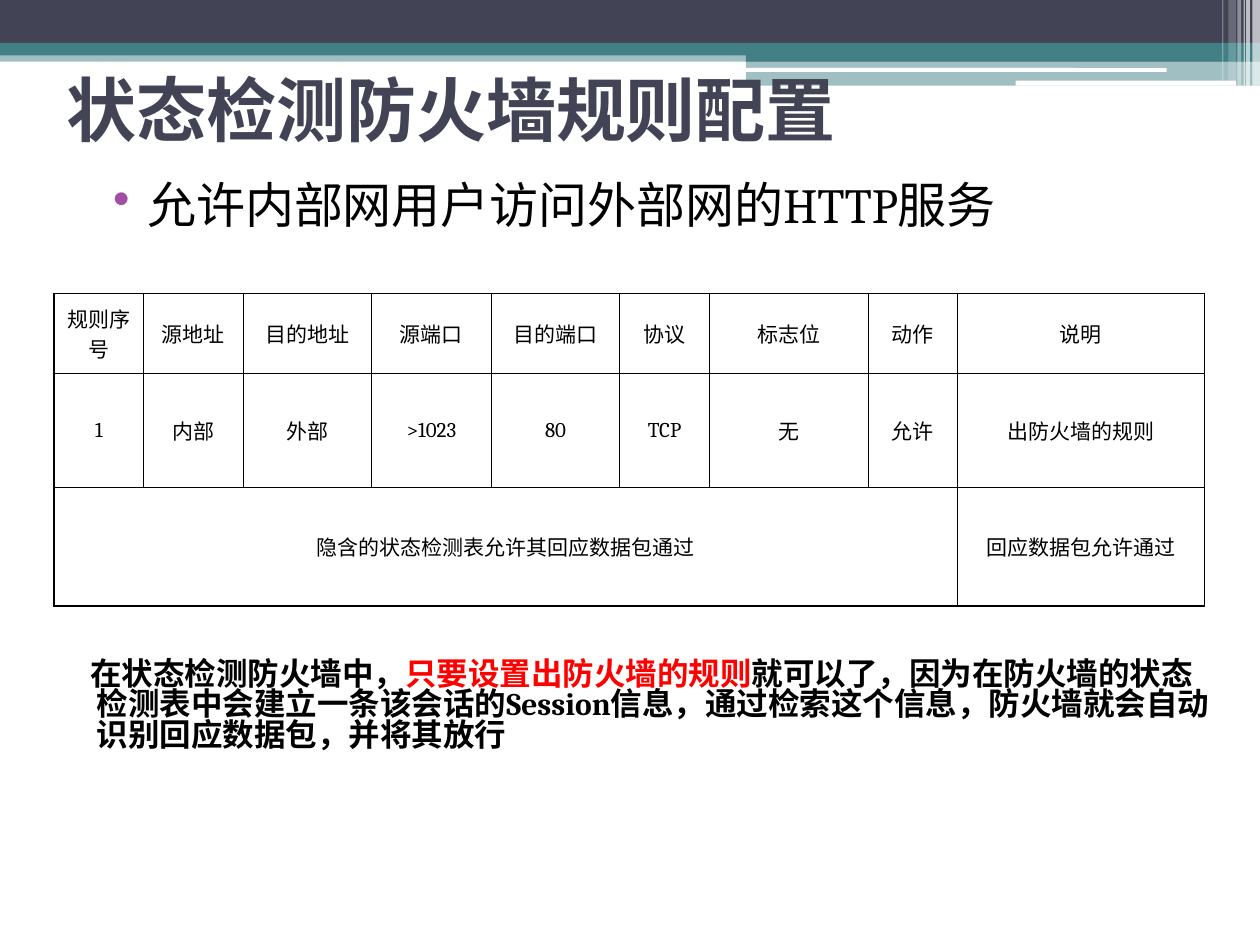
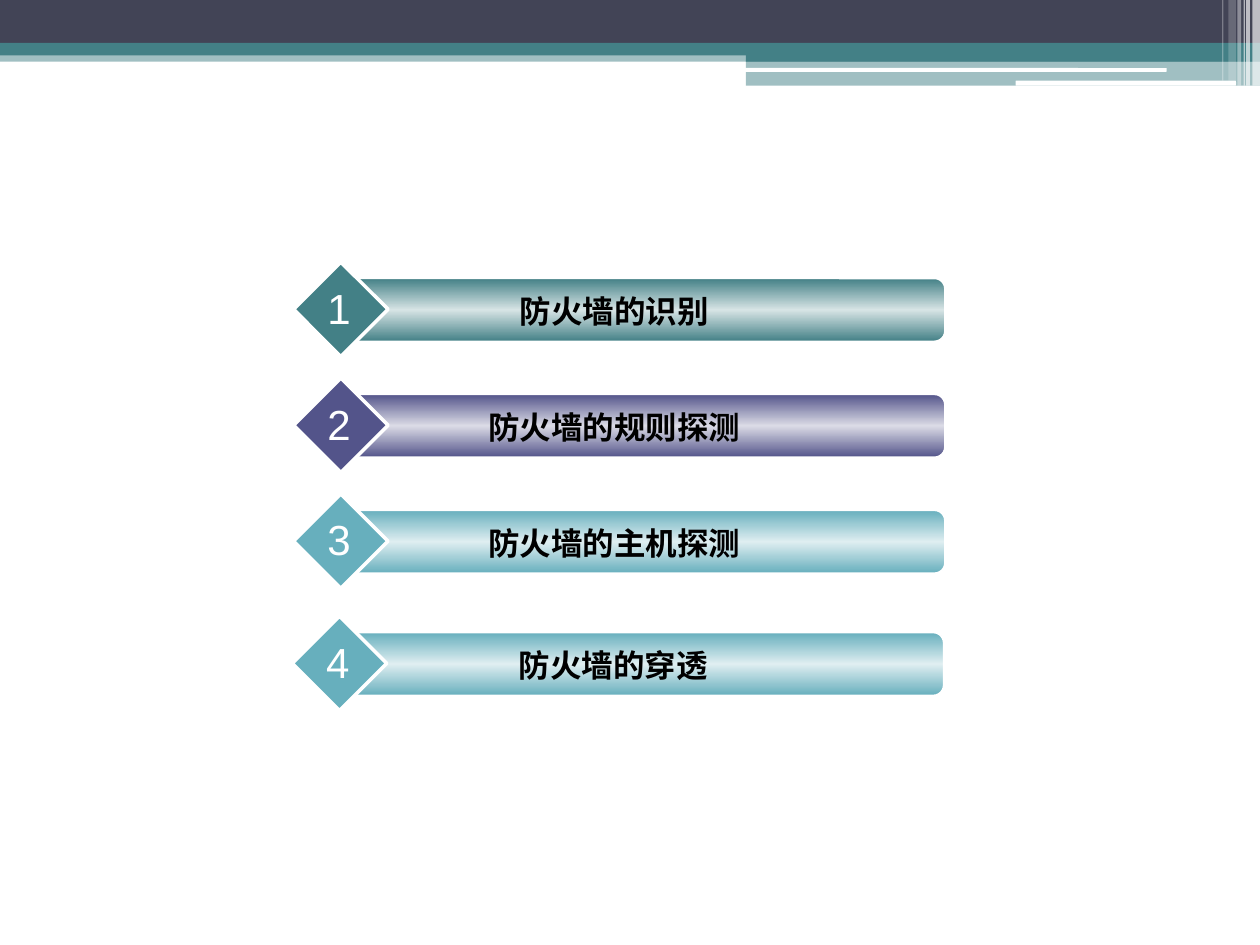
"""Build two firewall slides that share one banded style."""
from copy import deepcopy

from lxml.etree import SubElement
from pptx import Presentation
from pptx.dml.color import RGBColor
from pptx.enum.shapes import MSO_SHAPE as Shape
from pptx.enum.text import MSO_ANCHOR as Anchor, PP_ALIGN as Align
from pptx.oxml.ns import qn
from pptx.util import Inches, Pt

BLACK = RGBColor(0x00, 0x00, 0x00)
WHITE = RGBColor(0xFF, 0xFF, 0xFF)
RED = RGBColor(0xFF, 0x00, 0x00)
SLATE = RGBColor(0x42, 0x44, 0x56)
TEAL = RGBColor(0x43, 0x80, 0x86)
PALE_TEAL = RGBColor(0xD7, 0xE4, 0xE5)
INDIGO = RGBColor(0x53, 0x54, 0x8A)
PALE_INDIGO = RGBColor(0xDB, 0xDB, 0xE6)
AQUA = RGBColor(0x67, 0xAF, 0xBD)
PALE_AQUA = RGBColor(0xDF, 0xEE, 0xF1)
PURPLE = RGBColor(0xA0, 0x4D, 0xA3)

GRID_COLUMNS = 10
OUTER_BORDER, INNER_BORDER = 1.08, 0.45

BANDS = [
    (0, 0.4, 10, 0.09, TEAL, 50),
    (0, 0, 10, 0.34, SLATE, 100),
    (0, 0.34, 10, 0.1, TEAL, 100),
    (5.92, 0.39, 4.08, 0.1, TEAL, 100),
    (5.92, 0.48, 4.08, 0.2, TEAL, 50),
]
WHITE_BARS = [(5.91, 0.54, 3.35, 0.03), (8.06, 0.64, 1.75, 0.04)]
STRIPES = [
    (9.94, 0.06, 0.68, 65),
    (9.89, 0.03, 0.68, 65),
    (9.87, 0.01, 0.68, 60),
    (9.82, 0.03, 0.68, 40),
    (9.75, 0.06, 0.64, 20),
    (9.7, 0.01, 0.64, 30),
]

RULE_COLUMNS = [0.71, 0.79, 1.02, 0.95, 1.02, 0.71, 1.26, 0.71, 1.96]
RULE_ROWS = [0.63, 0.91, 0.94]
RULES = [
    ["规则序号", "源地址", "目的地址", "源端口", "目的端口", "协议", "标志位", "动作", "说明"],
    ["1", "内部", "外部", ">1023", "80", "TCP", "无", "允许", "出防火墙的规则"],
    ["隐含的状态检测表允许其回应数据包通过"] + [""] * 7 + ["回应数据包允许通过"],
]
EXPLANATION = [
    ("在状态检测防火墙中，", BLACK),
    ("只要设置出防火墙的规则", RED),
    ("就可以了，因为在防火墙的状态检测表中会建立一条该会话的Session信息，"
     "通过检索这个信息，防火墙就会自动识别回应数据包，并将其放行", BLACK),
]
TOPICS = [
    (2.33, 2.08, "防火墙的识别", TEAL, PALE_TEAL),
    (2.33, 3, "防火墙的规则探测", INDIGO, PALE_INDIGO),
    (2.33, 3.92, "防火墙的主机探测", AQUA, PALE_AQUA),
    (2.32, 4.89, "防火墙的穿透", AQUA, PALE_AQUA),
]


class Deck:
    """Hold the presentation style and draw on the current slide."""

    def __init__(self):
        self.presentation = Presentation()
        self.presentation.slide_width = Inches(10)
        self.presentation.slide_height = Inches(7.5)
        self.unit = self.presentation.slide_width / GRID_COLUMNS
        self.shapes = None

    def grid(self, *cells):
        """Turn grid columns and rows into lengths."""
        return [round(cell * self.unit) for cell in cells]

    def new_slide(self):
        """Start a blank slide with the shared header bands."""
        slide = self.presentation.slides.add_slide(self.presentation.slide_layouts[6])
        self.shapes = slide.shapes
        for *box, color, opacity in BANDS:
            self.shape(box, color, opacity=opacity)
        for box in WHITE_BARS:
            self.shape(box, WHITE, Shape.ROUNDED_RECTANGLE)
        for left, width, height, opacity in STRIPES:
            self.shape((left, 0, width, height), WHITE, opacity=opacity)

    def shape(self, box, color, kind=Shape.RECTANGLE, opacity=100, outline=0, shapes=None):
        """Add a solid preset shape, with a white outline if asked."""
        shape = (shapes or self.shapes).add_shape(kind, *self.grid(*box))
        shape.shadow.inherit = False
        shape.fill.solid()
        shape.fill.fore_color.rgb = color
        if opacity < 100:
            solid = shape.element.spPr.find(qn("a:solidFill"))
            SubElement(solid[0], qn("a:alpha"), val=str(opacity * 1000))
        if outline:
            shape.line.color.rgb = WHITE
            shape.line.width = Pt(outline)
        else:
            shape.line.fill.background()
        return shape

    def shade(self, shape, edge, middle):
        """Give a shape a vertical gradient that is lightest in the middle."""
        fill = shape.fill
        fill.gradient()
        fill.gradient_angle = 90
        stop_list = shape.element.spPr.find(qn("a:gradFill")).find(qn("a:gsLst"))
        stop_list.insert(1, deepcopy(stop_list[0]))
        for stop, color, position in zip(fill.gradient_stops, (edge, middle, edge), (0, 0.5, 1)):
            stop.color.rgb = color
            stop.position = position

    def add_runs(self, paragraph, runs, size, font="Cambria", bold=False):
        """Fill a paragraph with coloured runs in one style."""
        for text, color in runs:
            run = paragraph.add_run()
            run.text = text
            run.font.name = font
            run.font.size = Pt(size)
            run.font.bold = bold
            run.font.color.rgb = color

    def text(self, box, runs, size, wrap=True, align=Align.LEFT, anchor=Anchor.TOP,
             shapes=None, **style):
        """Add a one-paragraph text box and return the paragraph."""
        frame = (shapes or self.shapes).add_textbox(*self.grid(*box)).text_frame
        frame.word_wrap = wrap
        frame.vertical_anchor = anchor
        paragraph = frame.paragraphs[0]
        paragraph.alignment = align
        self.add_runs(paragraph, runs, size, **style)
        return paragraph

    def indent(self, paragraph, margin, first_line, spacing, bullet_color=None):
        """Set indents and line spacing, and a bullet if it has a colour."""
        properties = paragraph._p.get_or_add_pPr()
        margin, first_line = self.grid(margin, first_line)
        properties.set("marL", str(margin))
        properties.set("indent", str(first_line))
        if bullet_color is not None:
            color = SubElement(properties, qn("a:buClr"))
            SubElement(color, qn("a:srgbClr"), val=str(bullet_color))
            SubElement(properties, qn("a:buChar"), char="•")
        paragraph.line_spacing = spacing

    def title(self, text):
        """Add the slide title."""
        self.text((0.43, 0.52, 7.62, 0.68), [(text, SLATE)], 40,
                  anchor=Anchor.MIDDLE, font="Roboto", bold=True)

    def borders(self, cell, widths):
        """Draw the left, right, top and bottom borders of a cell."""
        properties = cell._tc.get_or_add_tcPr()
        for index, (side, width) in enumerate(zip("LRTB", widths)):
            line = properties.makeelement(qn(f"a:ln{side}"), {"w": str(Pt(width))})
            fill = SubElement(line, qn("a:solidFill"))
            SubElement(fill, qn("a:srgbClr"), val=str(BLACK))
            properties.insert(index, line)

    def table(self, left, top, columns, rows, values):
        """Add a plain ruled table with a heavier outer frame."""
        box = self.grid(left, top, sum(columns), sum(rows))
        table = self.shapes.add_table(len(rows), len(columns), *box).table
        table.first_row = table.horz_banding = False
        for column, width in zip(table.columns, self.grid(*columns)):
            column.width = width
        for row, height in zip(table.rows, self.grid(*rows)):
            row.height = height
        last_row, last_column = len(rows) - 1, len(columns) - 1
        for row, texts in enumerate(values):
            for column, text in enumerate(texts):
                cell = table.cell(row, column)
                cell.fill.background()
                cell.vertical_anchor = Anchor.MIDDLE
                edges = (column == 0, column == last_column, row == 0, row == last_row)
                self.borders(cell, [OUTER_BORDER if edge else INNER_BORDER for edge in edges])
                if text:
                    paragraph = cell.text_frame.paragraphs[0]
                    paragraph.alignment = Align.CENTER
                    self.add_runs(paragraph, [(text, BLACK)], 12)
        return table

    def topic(self, number, left, top, text, color, middle):
        """Add a numbered diamond with its shaded bar as one group."""
        shapes = self.shapes.add_group_shape().shapes
        bar = self.shape((left + 0.42, top + 0.13, 4.75, 0.5), color,
                         Shape.ROUNDED_RECTANGLE, outline=1, shapes=shapes)
        self.shade(bar, color, middle)
        self.shape((left, top, 0.75, 0.75), color, Shape.DIAMOND, outline=2, shapes=shapes)
        self.text((left + 0.67, top + 0.19, 3.75, 0.4), [(text, BLACK)], 18,
                  align=Align.CENTER, shapes=shapes, font="Arial", bold=True)
        self.text((left + 0.17, top + 0.11, 0.38, 0.5), [(str(number), WHITE)], 24,
                  wrap=False, align=Align.CENTER, shapes=shapes, font="Arial")


def main():
    """Build both slides and save them."""
    deck = Deck()

    deck.new_slide()
    deck.title("状态检测防火墙规则配置")
    rules = deck.table(0.43, 2.33, RULE_COLUMNS, RULE_ROWS, RULES)
    rules.cell(2, 0).merge(rules.cell(2, 7))
    heading = deck.text((0.35, 1.39, 9.28, 0.86),
                        [("允许内部网用户访问外部网的HTTP服务", BLACK)], 28)
    deck.indent(heading, 0.72, -0.27, 0.9, PURPLE)
    explanation = deck.text((0.27, 5.2, 9.44, 1.42), EXPLANATION, 18, bold=True)
    deck.indent(explanation, 0.4, -0.05, 0.8)

    deck.new_slide()
    for number, topic in enumerate(TOPICS, 1):
        deck.topic(number, *topic)

    deck.presentation.save("out.pptx")


if __name__ == "__main__":
    main()
